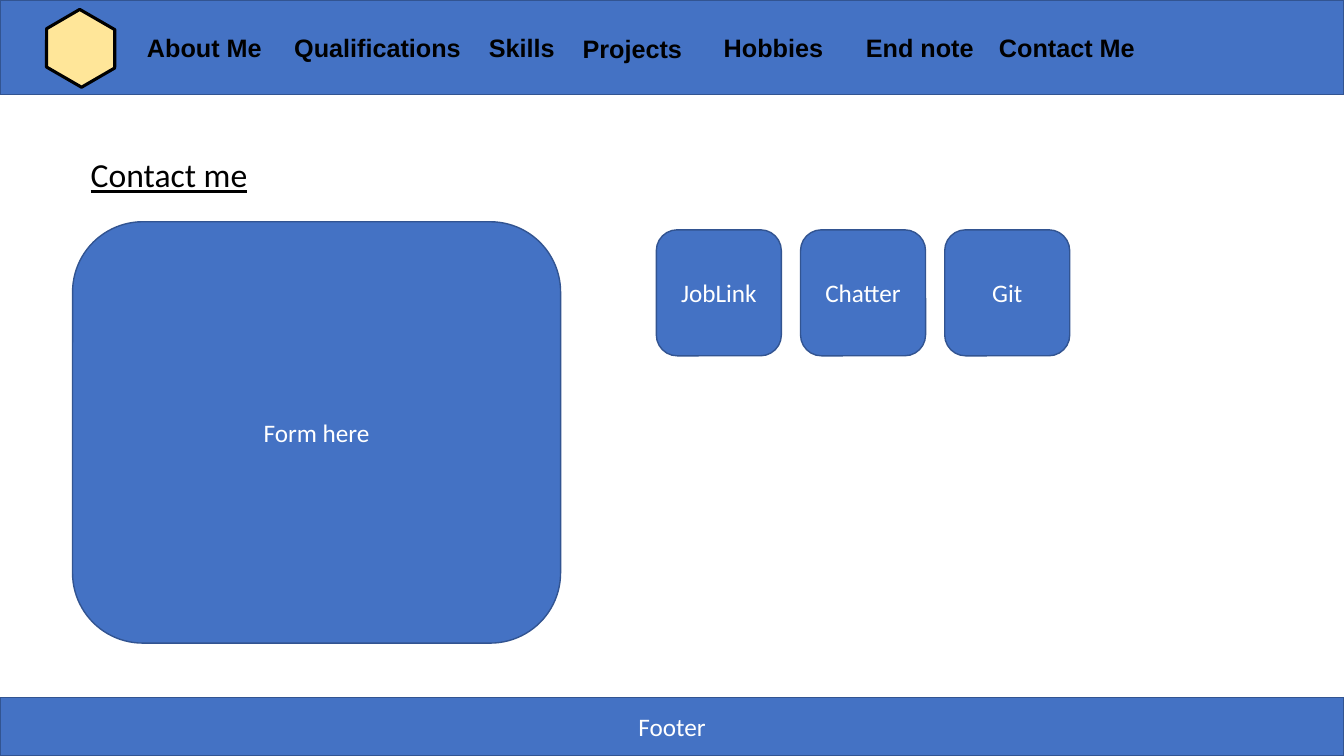
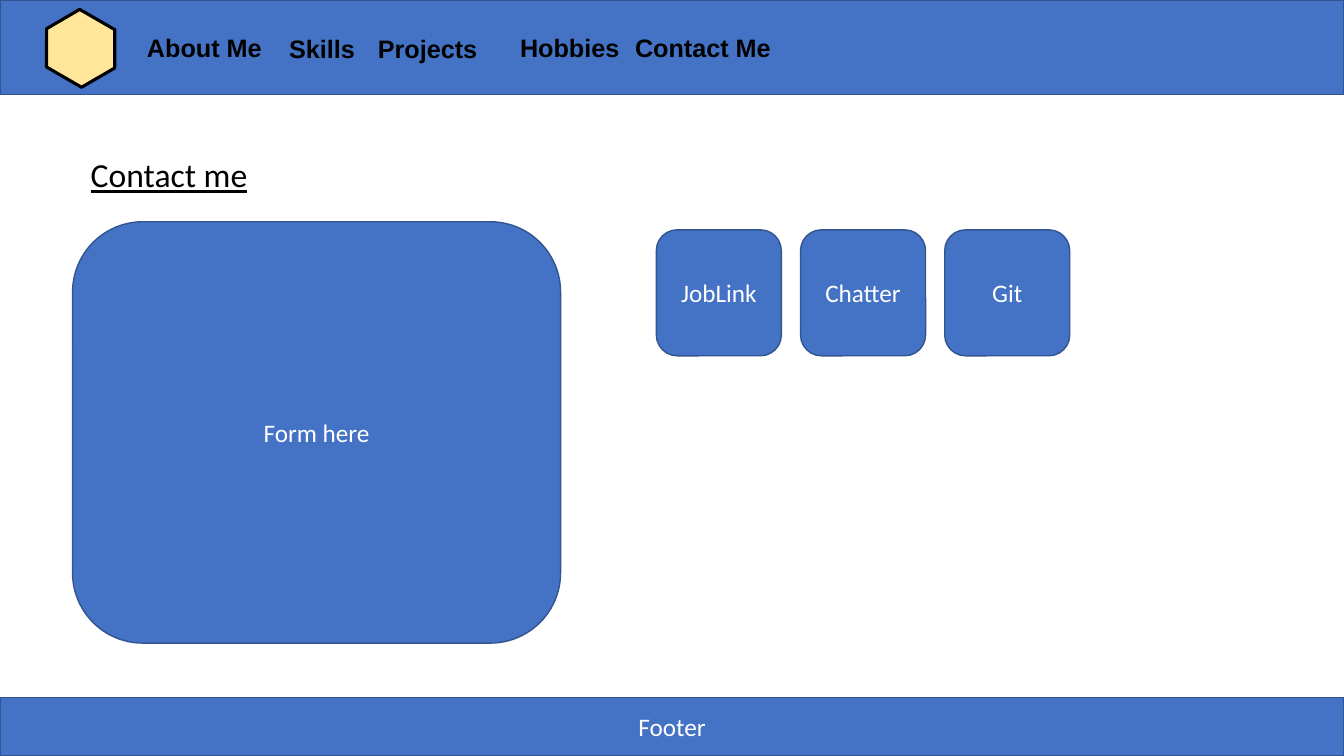
from pptx import Presentation
from pptx.dml.color import RGBColor
from pptx.enum.shapes import MSO_SHAPE
from pptx.enum.text import MSO_ANCHOR, MSO_AUTO_SIZE, PP_ALIGN
from pptx.util import Inches, Pt

BLUE = RGBColor(0x44, 0x72, 0xC4)
DARK_BLUE = RGBColor(0x32, 0x54, 0x91)
YELLOW = RGBColor(0xFF, 0xE6, 0x99)
BLACK = RGBColor(0, 0, 0)
WHITE = RGBColor(0xFF, 0xFF, 0xFF)

RECTANGLE = MSO_SHAPE.RECTANGLE
ROUNDED = MSO_SHAPE.ROUNDED_RECTANGLE
HEXAGON = MSO_SHAPE.HEXAGON
TOP, MIDDLE = MSO_ANCHOR.TOP, MSO_ANCHOR.MIDDLE
LEFT, CENTER = PP_ALIGN.LEFT, PP_ALIGN.CENTER
GROW = MSO_AUTO_SIZE.SHAPE_TO_FIT_TEXT

PAGE_WIDTH, PAGE_HEIGHT = 13.33, 7.5
FOOTER_HEIGHT = 0.58
TILE_LEFT, TILE_STEP = 6.51, 1.43
TILES = ["JobLink", "Chatter", "Git"]

# Menu of each page: label, left, top
MENUS = [
    [("About Me", 1.36, 0.27), ("Qualifications", 2.82, 0.27),
     ("Skills", 4.75, 0.27), ("Projects", 5.68, 0.28),
     ("Hobbies", 7.08, 0.27), ("End note", 8.49, 0.27),
     ("Contact Me", 9.81, 0.27)],
    [("About Me", 1.36, 0.27), ("Skills", 2.77, 0.28),
     ("Projects", 3.65, 0.28), ("Hobbies", 5.06, 0.27),
     ("Contact Me", 6.2, 0.27)],
]


def write(box, text, font="Calibri", size=18, color=WHITE,
          align=CENTER, anchor=MIDDLE):
    frame = box.text_frame
    frame.word_wrap = True
    frame.vertical_anchor = anchor
    para = frame.paragraphs[0]
    para.alignment = align
    span = para.add_run()
    span.text = text
    span.font.name = font
    span.font.size = Pt(size)
    span.font.color.rgb = color
    return span


def add_block(shapes, kind, left, top, width, height,
              fill=BLUE, line=DARK_BLUE, weight=1):
    block = shapes.add_shape(kind, Inches(left), Inches(top),
                             Inches(width), Inches(height))
    block.shadow.inherit = False
    block.fill.solid()
    block.fill.fore_color.rgb = fill
    block.line.color.rgb = line
    block.line.width = Pt(weight)
    return block


deck = Presentation()
deck.slide_width = Inches(PAGE_WIDTH)
deck.slide_height = Inches(PAGE_HEIGHT)
title_only = deck.slide_layouts[5]

for menu in MENUS:
    page = deck.slides.add_slide(title_only)

    # Title
    title = page.shapes.title
    title.left, title.top = Inches(0.8), Inches(1.48)
    title.width, title.height = Inches(1.77), Inches(0.5)
    span = write(title, "Contact me", size=24, color=BLACK,
                 align=LEFT, anchor=TOP)
    span.font.underline = True
    title.text_frame.word_wrap = False
    title.text_frame.auto_size = GROW

    # Contact form and link tiles
    form = add_block(page.shapes, ROUNDED, 0.72, 2.2, 4.84, 4.18)
    write(form, "Form here")
    for index, label in enumerate(TILES):
        tile = add_block(page.shapes, ROUNDED, TILE_LEFT + index * TILE_STEP,
                         2.28, 1.24, 1.25)
        write(tile, label)

    # Footer band
    footer = add_block(page.shapes, RECTANGLE, 0, PAGE_HEIGHT - FOOTER_HEIGHT,
                       PAGE_WIDTH, FOOTER_HEIGHT)
    write(footer, "Footer")

    # Header band with emblem and menu
    header = page.shapes.add_group_shape().shapes
    add_block(header, RECTANGLE, 0, 0, PAGE_WIDTH, 0.94)
    emblem = add_block(header, HEXAGON, 0.41, 0.15, 0.78, 0.66,
                       YELLOW, BLACK, 2.25)
    emblem.adjustments[0] = 0.287
    emblem.rotation = 30
    for label, left, top in menu:
        width = 1.93 if label == "Qualifications" else 1.64
        item = header.add_textbox(Inches(left), Inches(top),
                                  Inches(width), Inches(0.4))
        span = write(item, label, font="Arial", color=BLACK,
                     align=LEFT, anchor=TOP)
        span.font.bold = True
        item.text_frame.auto_size = GROW

deck.save("out.pptx")
